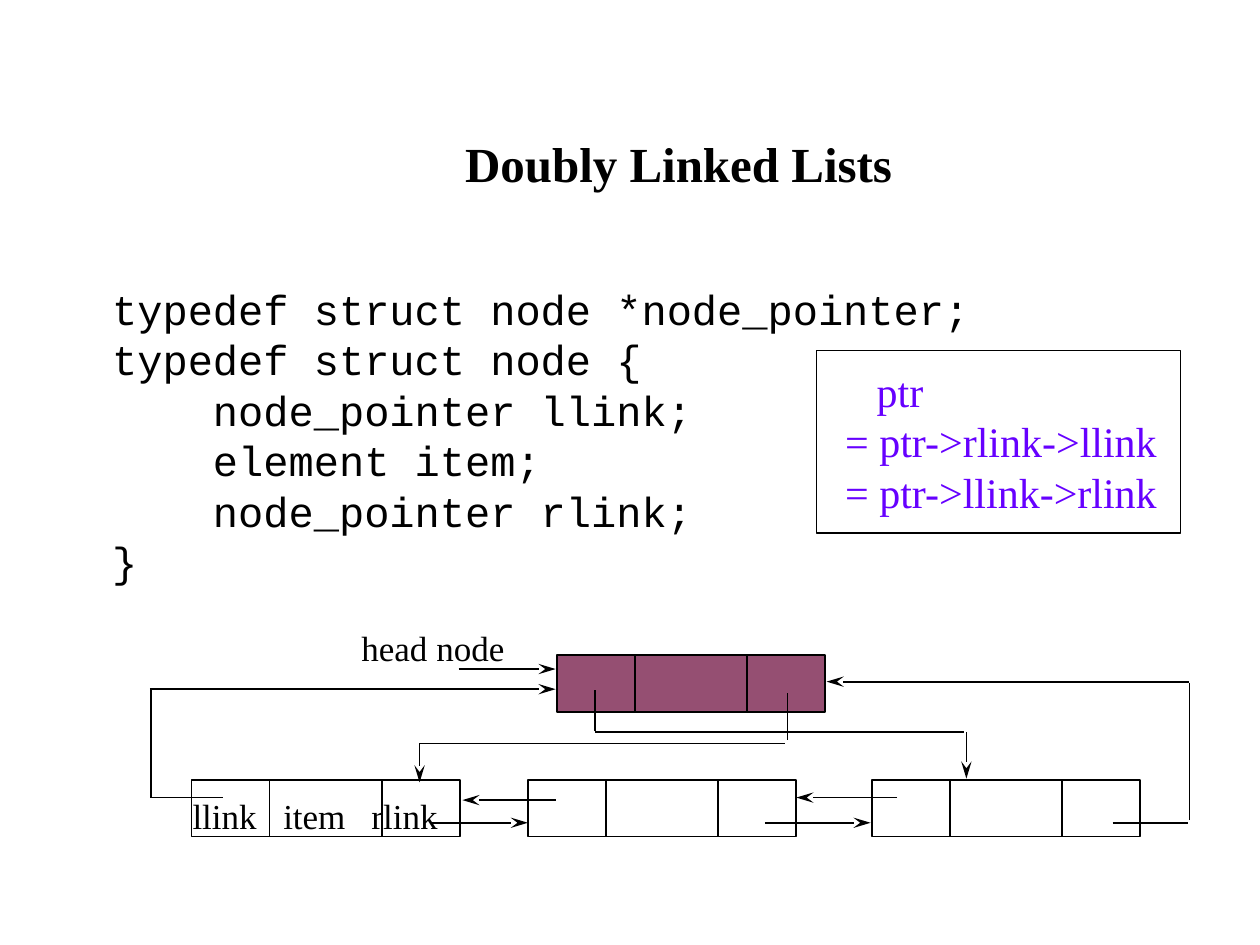
from lxml.etree import SubElement
from pptx import Presentation
from pptx.dml.color import RGBColor
from pptx.enum.shapes import MSO_CONNECTOR, MSO_SHAPE
from pptx.enum.text import MSO_ANCHOR, MSO_AUTO_SIZE, PP_ALIGN
from pptx.oxml.ns import qn
from pptx.util import Pt

PX = 9144
INK = "000000"
SERIF = {"name": "Times New Roman", "bold": False}
LABEL = {**SERIF, "size": Pt(20)}
NOTE = {**SERIF, "size": Pt(24)}
HEAD = {**SERIF, "size": Pt(28), "bold": True}
MONO = {"name": "Courier New", "size": Pt(24), "bold": False}
FRAME = {"word_wrap": True, "auto_size": MSO_AUTO_SIZE.NONE}

CODE = """typedef struct node *node_pointer;
typedef struct node {
    node_pointer llink;
    element item;
    node_pointer rlink;
}""".split("\n")

NODES = [(33, 127, None), (300, 127, None), (573, 127, None), (323, 28, "954F72")]
LABELS = [
    ("head node", 158, 0, 144), ("llink", 24, 134, 80),
    ("item", 96, 134, 80), ("rlink", 166, 134, 80),
]
ARROWS = [
    (222, 161, 300, 161), (322, 143, 248, 143),
    (488, 161, 572, 161), (593, 141, 513, 141),
    (825, 49, 537, 49), (0, 55, 322, 55), (245, 39, 322, 39),
    (214, 98, 214, 129), (648, 89, 648, 126),
]
LINES = [
    (764, 161, 824, 161), (825, 159, 825, 50),
    (58, 141, 0, 141), (1, 141, 1, 56),
    (506, 58, 506, 95), (214, 98, 504, 98),
    (353, 56, 353, 88), (353, 89, 646, 89),
]


def emu(*vals):
    return [round(v * PX) for v in vals]


def hue(code):
    return RGBColor.from_string(code)


def apply(item, form):
    for key, val in form.items():
        setattr(item, key, val)


def place(shape, box):
    apply(shape, dict(zip(("left", "top", "width", "height"), emu(*box))))


def write(shape, rows, font, color=INK, indent=0, align=PP_ALIGN.LEFT, **frame):
    text = shape.text_frame
    apply(text, {**FRAME, **frame})
    for i, row in enumerate(rows):
        para = text.paragraphs[0] if i == 0 else text.add_paragraph()
        props = para._p.get_or_add_pPr()
        props.set("marL", "0")
        props.set("indent", str(indent * PX if i == 0 else 0))
        SubElement(props, qn("a:buNone"))
        apply(para, {"alignment": align, "space_before": Pt(0),
                     "line_spacing": Pt(font["size"].pt * 1.2)})
        run = para.add_run()
        run.text = row
        apply(run.font, font)
        run.font.color.rgb = hue(color)


def rect(shapes, box, fill=None, width=1):
    shape = shapes.add_shape(MSO_SHAPE.RECTANGLE, *emu(*box))
    shape.shadow.inherit = False
    if fill:
        shape.fill.solid()
        shape.fill.fore_color.rgb = hue(fill)
    else:
        shape.fill.background()
    shape.line.color.rgb = hue(INK)
    shape.line.width = Pt(width)


def line(shapes, ends, arrow=False):
    wire = shapes.add_connector(MSO_CONNECTOR.STRAIGHT, *emu(*ends))
    wire.line.color.rgb = hue(INK)
    wire.line.width = Pt(1)
    if arrow:
        SubElement(wire.line._get_or_add_ln(), qn("a:tailEnd"),
                   type="stealth", w="med", len="lg")
    SubElement(wire._element.spPr, qn("a:effectLst"))


def label(shapes, box, rows, font, **form):
    write(shapes.add_textbox(*emu(*box)), rows, font, **form)


def title(slide, box):
    shape = slide.shapes.title
    place(shape, box)
    write(shape, ["Doubly Linked Lists"], HEAD, align=PP_ALIGN.CENTER,
          vertical_anchor=MSO_ANCHOR.MIDDLE)


def code(slide, box):
    shape = slide.placeholders[1]
    place(shape, box)
    write(shape, CODE, MONO, vertical_anchor=MSO_ANCHOR.TOP)


def node(shapes, x, y, fill):
    group = shapes.add_group_shape().shapes
    rect(group, (x, y, 213, 45), fill)
    for step in (62, 151):
        line(group, (x + step, y, x + step, y + 45))


def chain(slide, box):
    x, y = box[:2]
    shapes = slide.shapes
    for left, top, fill in NODES:
        node(shapes, x + left, y + top, fill)
    for group, arrow in ((ARROWS, True), (LINES, False)):
        for a, b, c, d in group:
            line(shapes, (x + a, y + b, x + c, y + d), arrow)
    for text, left, top, width in LABELS:
        label(shapes, (x + left, y + top, width, 43), [text], LABEL)


def note(slide, box):
    x, y, w, h = box
    rows = ["ptr", "= ptr->rlink->llink", "= ptr->llink->rlink"]
    label(slide.shapes, (x + 13, y + 7, w - 13, h - 15), rows, NOTE,
          color="6600FF", indent=25)
    rect(slide.shapes, box, width=0.75)


def main():
    deck = Presentation()
    deck.slide_width, deck.slide_height = emu(1000, 750)
    slide = deck.slides.add_slide(deck.slide_layouts[1])
    title(slide, (78, 67, 921, 125))
    code(slide, (79, 220, 921, 297))
    chain(slide, (119, 492, 825, 177))
    note(slide, (648, 278, 289, 145))
    deck.save("out.pptx")


if __name__ == "__main__":
    main()
